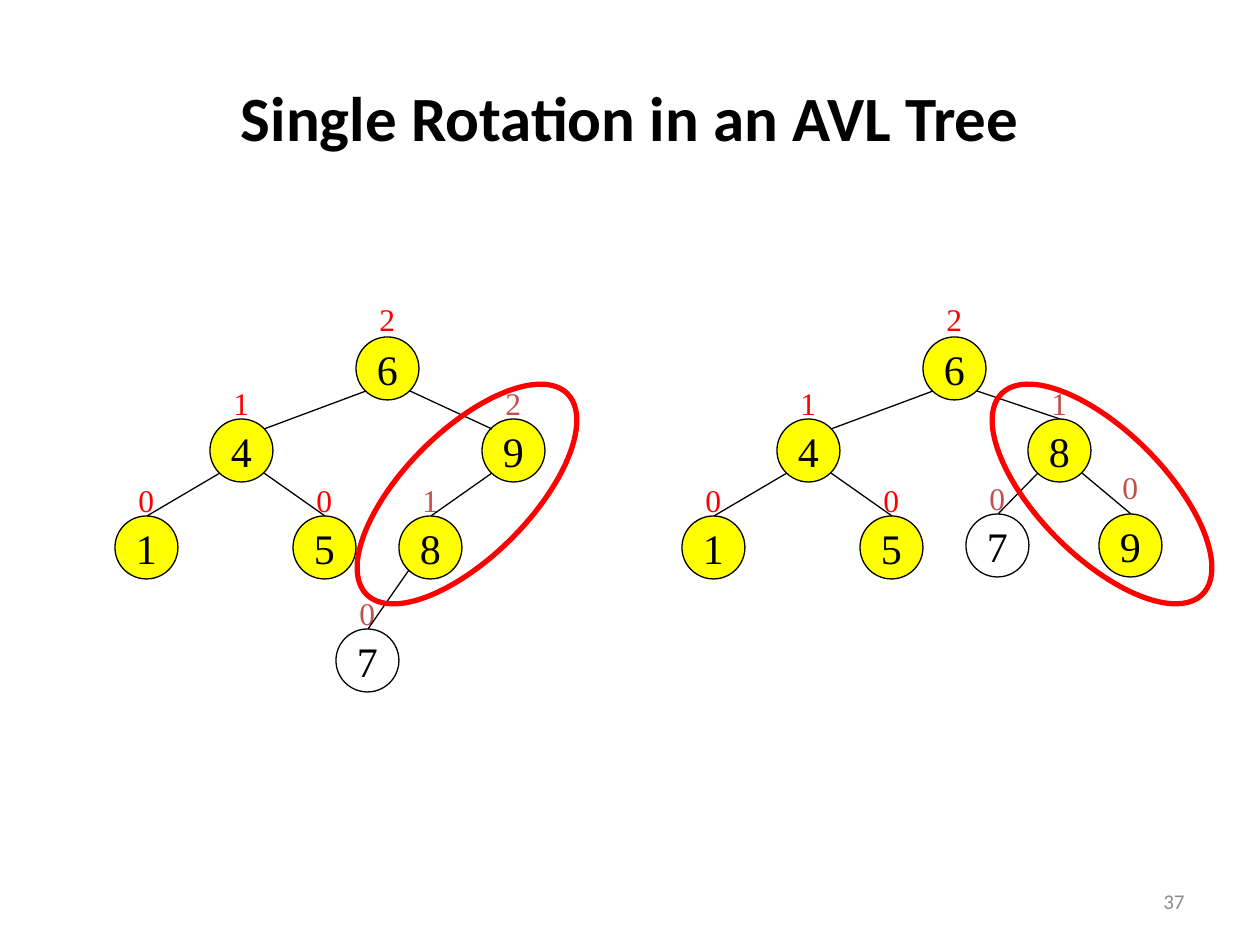
"""Build the slide that shows a single rotation in an AVL tree."""
from dataclasses import dataclass

from lxml.etree import SubElement
from pptx import Presentation
from pptx.dml.color import RGBColor as RGB
from pptx.enum.shapes import MSO_CONNECTOR as CONNECTOR, MSO_SHAPE as SHAPE
from pptx.enum.text import MSO_ANCHOR as ANCHOR, MSO_AUTO_SIZE as AUTO, PP_ALIGN as ALIGN
from pptx.oxml.ns import qn
from pptx.util import Pt


@dataclass(frozen=True)
class Theme:
    black: RGB = RGB(0, 0, 0)
    red: RGB = RGB(255, 0, 0)
    brick: RGB = RGB(0xC0, 0x50, 0x4D)
    yellow: RGB = RGB(255, 255, 0)
    grey: RGB = RGB(0x8C, 0x8C, 0x8C)
    sans: str = "Calibri"
    serif: str = "Times New Roman"
    title: int = 36
    key: int = 24
    height: int = 18
    number: int = 12
    thin: float = 0.75
    ring: int = 3


T = Theme()
SCALE = 914400 / 126
RADIUS, CORNER = 32, 22
LABEL_W, LABEL_H, LABEL_DX = 43, 54, 21


def emu(*lengths):
    return [round(n * SCALE) for n in lengths]


def write(tf, text, size, color, font, align=ALIGN.LEFT, bold=False):
    p = tf.paragraphs[0]
    p.alignment = align
    r = p.add_run()
    r.text = text
    r.font.size, r.font.name, r.font.bold = Pt(size), font, bold
    r.font.color.rgb = color


prs = Presentation()
prs.slide_width, prs.slide_height = emu(1260, 945)
s = prs.slides.add_slide(prs.slide_layouts[5])

title = s.shapes.title
title.left, title.top, title.width, title.height = emu(63, 38, 1134, 157)
title.text_frame.vertical_anchor = ANCHOR.MIDDLE
write(title.text_frame, "Single Rotation in an AVL Tree", T.title, T.black, T.sans, ALIGN.CENTER, True)

# key: centre x, centre y, height label, label colour, label rise, fill
shared = {
    "6": (388, 369, "2", T.red, 75, T.yellow),
    "4": (242, 451, "1", T.red, 73, T.yellow),
    "1": (147, 548, "0", T.red, 73, T.yellow),
    "5": (325, 548, "0", T.red, 73, T.yellow),
}
before = {
    "9": (514, 451, "2", T.brick, 73, T.yellow),
    "8": (431, 548, "1", T.brick, 73, T.yellow),
    "7": (368, 661, "0", T.brick, 73, None),
}
after = {
    "8": (493, 451, "1", T.brick, 73, T.yellow),
    "9": (564, 546, "0", T.brick, 84, T.yellow),
    "7": (431, 546, "0", T.brick, 73, None),
}
trees = [
    (0, shared | before, ["64", "69", "41", "45", "98", "87"], {"64", "69"}),
    (567, shared | after, ["64", "68", "41", "45", "89", "87"], {"64"}),
]

for shift, nodes, edges, corner_edges in trees:
    for x, y, height, color, rise, fill in nodes.values():
        box = s.shapes.add_textbox(*emu(x + shift - LABEL_DX, y - rise, LABEL_W, LABEL_H))
        box.text_frame.word_wrap = False
        box.text_frame.auto_size = AUTO.SHAPE_TO_FIT_TEXT
        write(box.text_frame, height, T.height, color, T.serif)

    for key, (x, y, height, color, rise, fill) in nodes.items():
        sp = s.shapes.add_shape(
            SHAPE.OVAL, *emu(x + shift - RADIUS, y - RADIUS, 2 * RADIUS - 1, 2 * RADIUS - 1))
        sp.shadow.inherit = False
        if fill:
            sp.fill.solid()
            sp.fill.fore_color.rgb = fill
        else:
            sp.fill.background()
        sp.line.color.rgb, sp.line.width = T.black, Pt(T.thin)
        sp.text_frame.word_wrap = False
        sp.text_frame.vertical_anchor = ANCHOR.MIDDLE
        write(sp.text_frame, key, T.key, T.black, T.serif, ALIGN.CENTER)

    for edge in edges:
        (x1, y1), (x2, y2) = (nodes[key][:2] for key in edge)
        side = CORNER if x2 > x1 else -CORNER
        dx, dy = (side, CORNER) if edge in corner_edges else (0, RADIUS)
        line = s.shapes.add_connector(
            CONNECTOR.STRAIGHT,
            *emu(x1 + shift + side, y1 + CORNER, x2 + shift - dx, y2 - dy))
        line.line.color.rgb, line.line.width = T.black, Pt(T.thin)
        SubElement(line._element.spPr, qn("a:effectLst"))

for left, angle in [(325, 315), (960, 45)]:
    ring = s.shapes.add_shape(SHAPE.OVAL, *emu(left, 431, 284, 126))
    ring.rotation = angle
    ring.shadow.inherit = False
    ring.fill.background()
    ring.line.color.rgb, ring.line.width = T.red, Pt(T.ring)

number = s.shapes.add_textbox(*emu(903, 876, 294, 50))
number.text_frame.word_wrap = True
number.text_frame.vertical_anchor = ANCHOR.MIDDLE
write(number.text_frame, "37", T.number, T.grey, T.sans, ALIGN.RIGHT)

prs.save("out.pptx")
